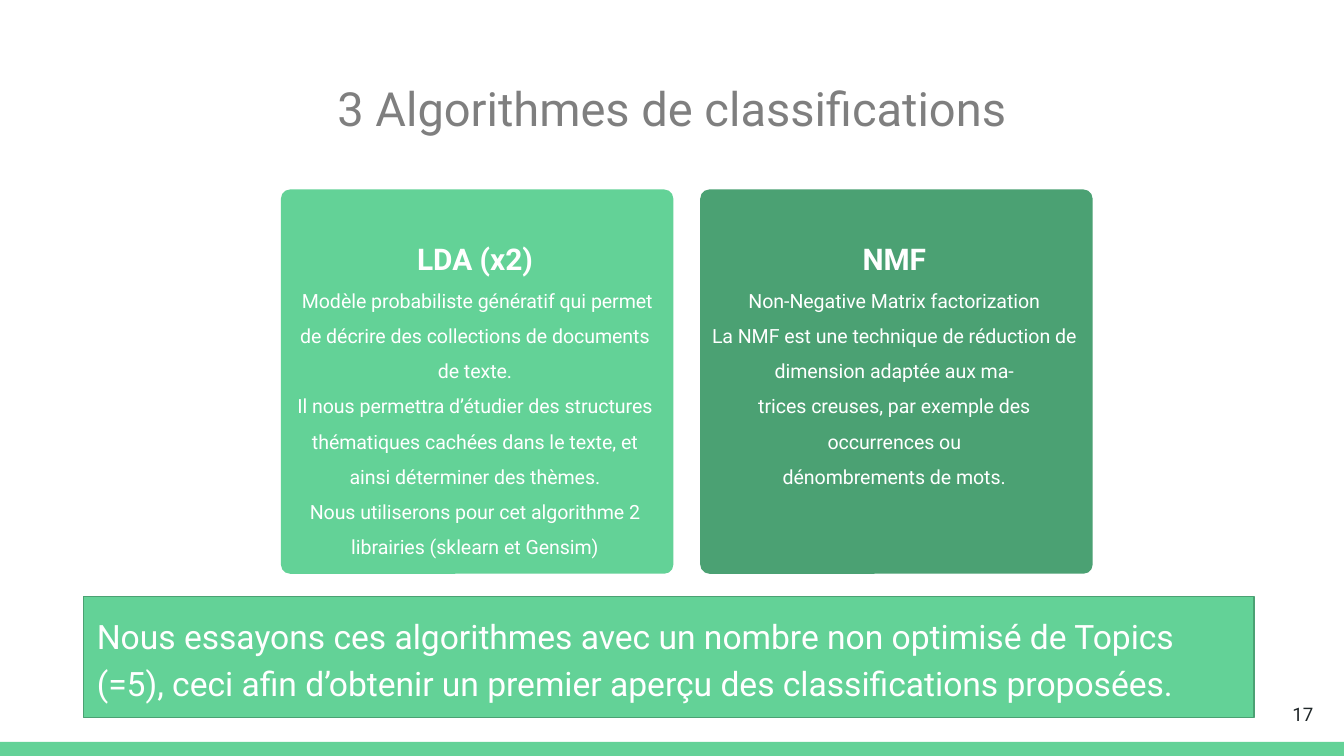
from dataclasses import dataclass

from lxml.etree import SubElement
from pptx import Presentation
from pptx.dml.color import RGBColor
from pptx.enum.shapes import MSO_SHAPE
from pptx.enum.text import MSO_ANCHOR, MSO_AUTO_SIZE, PP_ALIGN
from pptx.oxml.ns import qn
from pptx.util import Inches, Pt


@dataclass(frozen=True)
class Theme:
    font: str = "Roboto"
    green: str = "63D297"
    dark_green: str = "4BA173"
    gray: str = "7F7F7F"
    ink: str = "202729"
    white: str = "FFFFFF"
    title_size: float = 25.2
    callout_size: float = 18
    heading_size: float = 16
    text_size: float = 10.5
    number_size: float = 10


THEME = Theme()

CARDS = [
    ("LDA (x2)", THEME.green, [
        " Modèle probabiliste génératif qui permet",
        "de décrire des collections de documents de texte.",
        "Il nous permettra d’étudier des structures thématiques cachées "
        "dans le texte, et ainsi déterminer des thèmes.",
        "Nous utiliserons pour cet algorithme 2 librairies (sklearn et Gensim)",
    ]),
    ("NMF", THEME.dark_green, [
        "Non-Negative Matrix factorization",
        "La NMF est une technique de réduction de dimension adaptée aux ma-",
        "trices creuses, par exemple des occurrences ou",
        "dénombrements de mots.",
    ]),
]


def place(shape, box):
    shape.left, shape.top, shape.width, shape.height = map(Inches, box)


def set_frame(shape, inset, anchor=MSO_ANCHOR.TOP):
    frame = shape.text_frame
    frame.word_wrap = True
    frame.auto_size = MSO_AUTO_SIZE.NONE
    frame.vertical_anchor = anchor
    frame.margin_left = frame.margin_right = Inches(inset)
    frame.margin_top = frame.margin_bottom = Inches(inset)
    return frame


def style(para, size, color, align, spacing=1.0):
    para.alignment = align
    para.line_spacing = spacing
    para.space_before = Pt(0)
    para.font.name = THEME.font
    para.font.size = Pt(size)
    para.font.color.rgb = RGBColor.from_string(color)


def add_panel(page, kind, box, color):
    panel = page.shapes.add_shape(kind, *map(Inches, box))
    panel.shadow.inherit = False
    panel.fill.solid()
    panel.fill.fore_color.rgb = RGBColor.from_string(color)
    panel.line.fill.background()
    return panel


def add_title(page, box, text):
    title = page.shapes.title
    place(title, box)
    para = set_frame(title, 0.1).paragraphs[0]
    para.text = text
    style(para, THEME.title_size, THEME.gray, PP_ALIGN.CENTER)


def add_card(page, box, heading, color, lines):
    left, top, width, height = box
    card = add_panel(page, MSO_SHAPE.ROUNDED_RECTANGLE, box, color)
    card.adjustments[0] = 0.024
    text_box = page.shapes.add_textbox(
        Inches(left + 0.08), Inches(top + 0.25),
        Inches(width - 0.19), Inches(height - 0.42))
    frame = set_frame(text_box, 0)
    # The heading shares the first paragraph, above a line break
    frame.text = "\n".join([f"{heading}\v{lines[0]}", *lines[1:]])
    for para in frame.paragraphs:
        style(para, THEME.text_size, THEME.white, PP_ALIGN.CENTER, 1.5)
    heading_span = frame.paragraphs[0].runs[0]
    heading_span.font.size = Pt(THEME.heading_size)
    heading_span.font.bold = True


def add_callout(page, box, text):
    callout = page.placeholders[1]
    place(callout, box)
    callout.fill.solid()
    callout.fill.fore_color.rgb = RGBColor.from_string(THEME.green)
    callout.line.color.rgb = RGBColor.from_string(THEME.dark_green)
    callout.line.width = Pt(0.75)
    para = set_frame(callout, 0.1).paragraphs[0]
    para.text = text
    # Plain paragraph: no bullet, no hanging indent
    properties = para._p.get_or_add_pPr()
    properties.set("marL", "0")
    properties.set("indent", "0")
    SubElement(properties, qn("a:buNone"))
    style(para, THEME.callout_size, THEME.white, PP_ALIGN.LEFT, 1.15)
    para.space_after = Pt(12)


def add_page_number(page, box, number):
    text_box = page.shapes.add_textbox(*map(Inches, box))
    para = set_frame(text_box, 0.1, MSO_ANCHOR.MIDDLE).paragraphs[0]
    para.text = number
    style(para, THEME.number_size, THEME.ink, PP_ALIGN.RIGHT)


def main():
    deck = Presentation()
    # Widescreen, 16:9
    deck.slide_width = Inches(10)
    deck.slide_height = deck.slide_width * 9 // 16
    page = deck.slides.add_slide(deck.slide_layouts[1])

    # Footer band and title
    add_panel(page, MSO_SHAPE.RECTANGLE, (0, 5.52, 10, 0.11), THEME.green)
    add_title(page, (0.34, 0.49, 9.32, 0.63), "3 Algorithmes de classifications")

    # One card per algorithm
    card_width, gap = 2.92, 0.2
    for index, (heading, color, lines) in enumerate(CARDS):
        left = 2.09 + index * (card_width + gap)
        add_card(page, (left, 1.41, card_width, 2.86), heading, color, lines)

    # Conclusion and page number
    add_callout(page, (0.62, 4.44, 8.71, 0.9),
                "Nous essayons ces algorithmes avec un nombre non optimisé de "
                "Topics (=5), ceci afin d’obtenir un premier aperçu des "
                "classifications proposées.")
    add_page_number(page, (9.27, 5.1, 0.6, 0.43), "17")
    deck.save("out.pptx")


if __name__ == "__main__":
    main()
